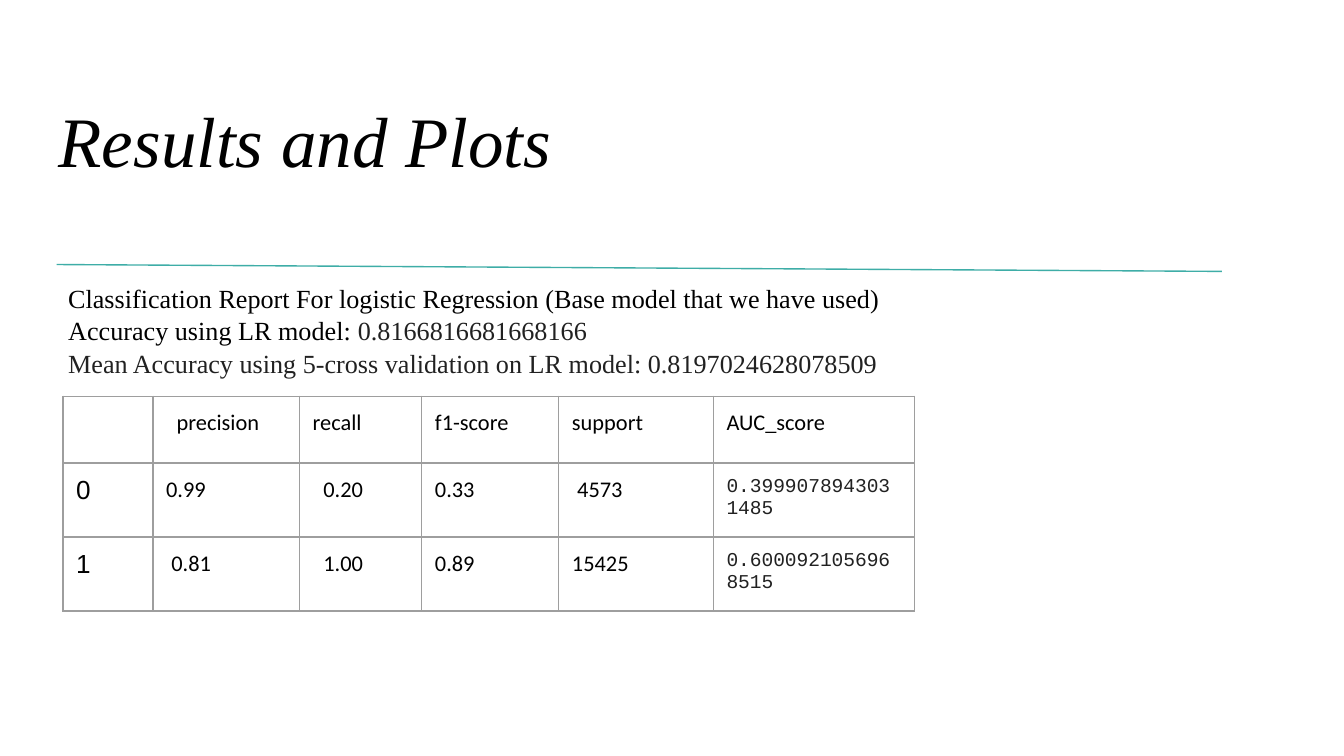
from dataclasses import dataclass

from lxml import etree
from pptx import Presentation, util as u
from pptx.dml.color import RGBColor
from pptx.enum import shapes, text
from pptx.oxml.ns import qn


@dataclass(frozen=True)
class Theme:
    ink: str = "000000"
    value: str = "212121"
    accent: str = "3EADA7"
    grid: str = "9E9E9E"
    serif: str = "Times New Roman"
    sans: str = "Calibri"
    label: str = "Arial"
    mono: str = "Courier New"
    title_pt: float = 38
    body_pt: float = 14
    cell_pt: float = 12
    mono_pt: float = 10.5
    line_pt: float = 0.75
    inset: float = 0.25


class SlideBuilder:
    def __init__(self, slide, theme):
        self.slide = slide
        self.theme = theme

    def font(self, font, name, size, color, italic=False):
        font.name, font.size, font.italic = name, u.Pt(size), italic
        font.color.rgb = RGBColor.from_string(color)

    def line(self, x1, y1, x2, y2):
        sp = self.slide.shapes.add_connector(
            shapes.MSO_CONNECTOR.STRAIGHT, u.Cm(x1), u.Cm(y1), u.Cm(x2), u.Cm(y2))
        sp.line.color.rgb = RGBColor.from_string(self.theme.accent)
        sp.line.width = u.Pt(self.theme.line_pt)
        etree.SubElement(sp._element.spPr, qn("a:effectLst"))

    def text_box(self, x, y, w, h, paragraphs, size, italic=False,
                 anchor=text.MSO_ANCHOR.TOP, spacing=1.0):
        """Each paragraph is a list of (text, color) runs."""
        sp = self.slide.shapes.add_textbox(u.Cm(x), u.Cm(y), u.Cm(w), u.Cm(h))
        tf = sp.text_frame
        tf.word_wrap, tf.vertical_anchor = True, anchor
        tf.margin_left = tf.margin_right = u.Cm(self.theme.inset)
        tf.margin_top = tf.margin_bottom = u.Cm(self.theme.inset)
        for i, runs in enumerate(paragraphs):
            p = tf.add_paragraph() if i else tf.paragraphs[0]
            p.line_spacing = spacing
            for words, color in runs:
                r = p.add_run()
                r.text = words
                self.font(r.font, self.theme.serif, size, color, italic)

    def border(self, cell):
        tc_pr = cell._tc.get_or_add_tcPr()
        for side in ("lnL", "lnR", "lnT", "lnB"):
            ln = etree.SubElement(tc_pr, qn(f"a:{side}"),
                                  w=str(u.Pt(self.theme.line_pt)))
            fill = etree.SubElement(ln, qn("a:solidFill"))
            etree.SubElement(fill, qn("a:srgbClr"), val=self.theme.grid)

    def cell_style(self, row, col, last_col):
        t = self.theme
        if col == 0:
            return t.label, t.body_pt, t.ink
        if row and col == last_col:
            return t.mono, t.mono_pt, t.value
        return t.sans, t.cell_pt, t.ink

    def table(self, x, y, widths, heights, rows, indents):
        """Indents maps (row, column) to extra left margin in cm."""
        tbl = self.slide.shapes.add_table(
            len(rows), len(widths), u.Cm(x), u.Cm(y),
            u.Cm(sum(widths)), u.Cm(sum(heights))).table
        tbl.first_row = tbl.horz_banding = False
        for column, w in zip(tbl.columns, widths):
            column.width = u.Cm(w)
        for row, h in zip(tbl.rows, heights):
            row.height = u.Cm(h)
        for i, values in enumerate(rows):
            for j, value in enumerate(values):
                cell = tbl.cell(i, j)
                inset = self.theme.inset
                cell.margin_left = u.Cm(inset + indents.get((i, j), 0))
                cell.margin_right = u.Cm(inset)
                cell.margin_top = cell.margin_bottom = u.Cm(inset)
                self.border(cell)
                cell.fill.background()
                cell.text = value
                self.font(cell.text_frame.paragraphs[0].font,
                          *self.cell_style(i, j, len(values) - 1))


def main():
    prs = Presentation()
    prs.slide_width, prs.slide_height = u.Cm(25.4), u.Cm(14.29)
    theme = Theme()
    builder = SlideBuilder(prs.slides.add_slide(prs.slide_layouts[6]), theme)

    # Title and divider
    builder.line(1.07, 5, 23.09, 5.13)
    builder.text_box(0.86, 1.5, 23.67, 2.26, [[("Results and Plots", theme.ink)]],
                     theme.title_pt, italic=True, anchor=text.MSO_ANCHOR.MIDDLE)

    # Accuracy summary
    builder.text_box(1.04, 5.05, 19.38, 5, [
        [("Classification Report For logistic Regression "
          "(Base model that we have used)", theme.ink)],
        [("Accuracy using LR model: ", theme.ink),
         ("0.8166816681668166", theme.value)],
        [("Mean Accuracy using 5-cross validation on LR model: "
          "0.8197024628078509", theme.value)],
    ], theme.body_pt, spacing=1.05)

    # Classification report
    builder.table(1.19, 7.49, [1.7, 2.77, 2.31, 2.59, 2.92, 3.81], [1.26, 1.4, 1.4], [
        ["", "precision", "recall", "f1-score", "support", "AUC_score"],
        ["0", "0.99", "0.20", "0.33", "4573", "0.3999078943031485"],
        ["1", "0.81", "1.00", "0.89", "15425", "0.6000921056968515"],
    ], {(0, 1): 0.2, (1, 2): 0.2, (1, 4): 0.1, (2, 1): 0.1, (2, 2): 0.2})

    prs.save("out.pptx")


if __name__ == "__main__":
    main()
